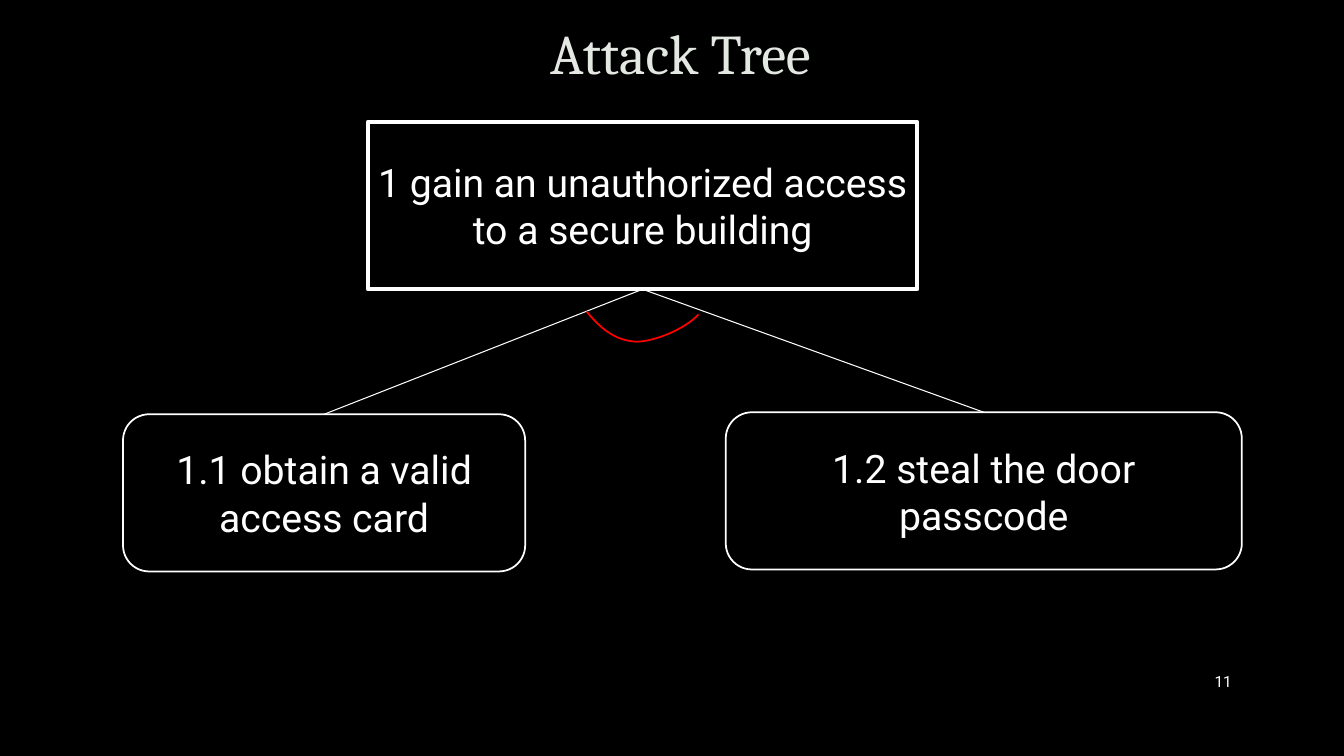
from dataclasses import dataclass

from lxml import etree
from pptx import Presentation
from pptx.dml.color import RGBColor
from pptx.enum.shapes import MSO_CONNECTOR, MSO_SHAPE
from pptx.enum.text import MSO_ANCHOR, PP_ALIGN
from pptx.oxml.ns import qn
from pptx.util import Inches, Pt

RECTANGLE, ROUNDED = MSO_SHAPE.RECTANGLE, MSO_SHAPE.ROUNDED_RECTANGLE
STRAIGHT = MSO_CONNECTOR.STRAIGHT
CENTER, RIGHT = PP_ALIGN.CENTER, PP_ALIGN.RIGHT
MIDDLE = MSO_ANCHOR.MIDDLE
TITLE_ONLY = 5
COLUMNS, ROWS = 80, 45
BOTTOM_SITE, TOP_SITE = 2, 0


@dataclass(frozen=True)
class Theme:
    background: str = "000000"
    ink: str = "FFFFFF"
    title: str = "E4E8E2"
    title_outline: str = "404040"
    and_mark: str = "FF0000"
    heading_font: str = "Cambria"
    body_font: str = "Roboto"
    title_size: int = 40
    node_size: int = 28
    number_size: int = 11
    goal_line: float = 3
    step_line: float = 1.25
    branch_line: float = 0.75


def rgb(code):
    return RGBColor.from_string(code)


def bezier(start, first, second, end, steps=16):
    """Points after the start of a cubic curve."""
    for step in range(1, steps + 1):
        t = step / steps
        weights = ((1 - t) ** 3, 3 * t * (1 - t) ** 2, 3 * t * t * (1 - t), t ** 3)
        yield tuple(sum(w * p for w, p in zip(weights, axis))
                    for axis in zip(start, first, second, end))


class TreeSlide:
    """Places attack-tree elements on a grid of COLUMNS by ROWS."""

    def __init__(self, deck, theme):
        self.theme = theme
        self.column = deck.slide_width / COLUMNS
        self.row = deck.slide_height / ROWS
        self.slide = deck.slides.add_slide(deck.slide_layouts[TITLE_ONLY])
        backdrop = self.slide.background.fill
        backdrop.solid()
        backdrop.fore_color.rgb = rgb(theme.background)

    def point(self, column, row):
        return round(column * self.column), round(row * self.row)

    def box(self, left, top, width, height):
        return *self.point(left, top), *self.point(width, height)

    def add_words(self, shape, words, size, color, font, align=CENTER):
        frame = shape.text_frame
        frame.word_wrap = True
        frame.vertical_anchor = MIDDLE
        paragraph = frame.paragraphs[0]
        paragraph.alignment = align
        run = paragraph.add_run()
        run.text = words
        run.font.size = Pt(size)
        run.font.name = font
        run.font.color.rgb = rgb(color)
        return paragraph, run

    def title(self, words, *area):
        theme = self.theme
        heading = self.slide.shapes.title
        heading.left, heading.top, heading.width, heading.height = self.box(*area)
        paragraph, run = self.add_words(heading, words, theme.title_size,
                                        theme.title, theme.heading_font)
        paragraph.line_spacing = 0.9
        outline = etree.Element(qn("a:ln"), w=str(Pt(0.75)))
        solid = etree.SubElement(outline, qn("a:solidFill"))
        tint = etree.SubElement(solid, qn("a:srgbClr"), val=theme.title_outline)
        etree.SubElement(tint, qn("a:alpha"), val="10000")
        run.font._element.insert(0, outline)

    def page_number(self, number, *area):
        label = self.slide.shapes.add_textbox(*self.box(*area))
        self.add_words(label, number, self.theme.number_size, self.theme.ink,
                       self.theme.body_font, RIGHT)

    def node(self, outline, words, weight, *area):
        theme = self.theme
        node = self.slide.shapes.add_shape(outline, *self.box(*area))
        node.shadow.inherit = False
        node.fill.solid()
        node.fill.fore_color.rgb = rgb(theme.background)
        node.line.color.rgb = rgb(theme.ink)
        node.line.width = Pt(weight)
        self.add_words(node, words, theme.node_size, theme.ink, theme.body_font)
        return node

    def branch(self, parent, child):
        branch = self.slide.shapes.add_connector(STRAIGHT, 0, 0, 0, 0)
        branch.begin_connect(parent, BOTTOM_SITE)
        branch.end_connect(child, TOP_SITE)
        branch.line.color.rgb = rgb(self.theme.ink)
        branch.line.width = Pt(self.theme.branch_line)
        etree.SubElement(branch._element.spPr, qn("a:effectLst"))

    def and_arc(self, start, *curves):
        """Draws the mark that joins branches which are all required."""
        points = [start]
        for curve in curves:
            points.extend(bezier(points[-1], *curve))
        pen = self.slide.shapes.build_freeform(*self.point(*start))
        pen.add_line_segments([self.point(*p) for p in points[1:]], close=False)
        arc = pen.convert_to_shape()
        arc.shadow.inherit = False
        arc.fill.background()
        arc.line.color.rgb = rgb(self.theme.and_mark)
        arc.line.width = Pt(self.theme.step_line)


def main():
    deck = Presentation()
    deck.slide_width, deck.slide_height = Inches(40 / 3), Inches(7.5)
    theme = Theme()
    tree = TreeSlide(deck, theme)

    tree.page_number("11", 69, 39.36, 4.92, 2.4)
    tree.title("Attack Tree", 6.54, 0.84, 67.92, 5.04)
    goal = tree.node(RECTANGLE, "1 gain an unauthorized access to a secure building",
                     theme.goal_line, 21.9, 7.26, 32.7, 9.96)
    card = tree.node(ROUNDED, "1.1 obtain a valid access card",
                     theme.step_line, 7.32, 24.66, 23.94, 9.36)
    passcode = tree.node(ROUNDED, "1.2 steal the door passcode",
                         theme.step_line, 43.2, 24.54, 30.72, 9.36)
    for step in (card, passcode):
        tree.branch(goal, step)
    tree.and_arc((34.92, 18.54),
                 ((35.88, 19.74), (36.78, 20.28), (37.86, 20.34)),
                 ((39, 20.34), (40.8, 19.56), (41.58, 18.72)))

    deck.save("out.pptx")


if __name__ == "__main__":
    main()
